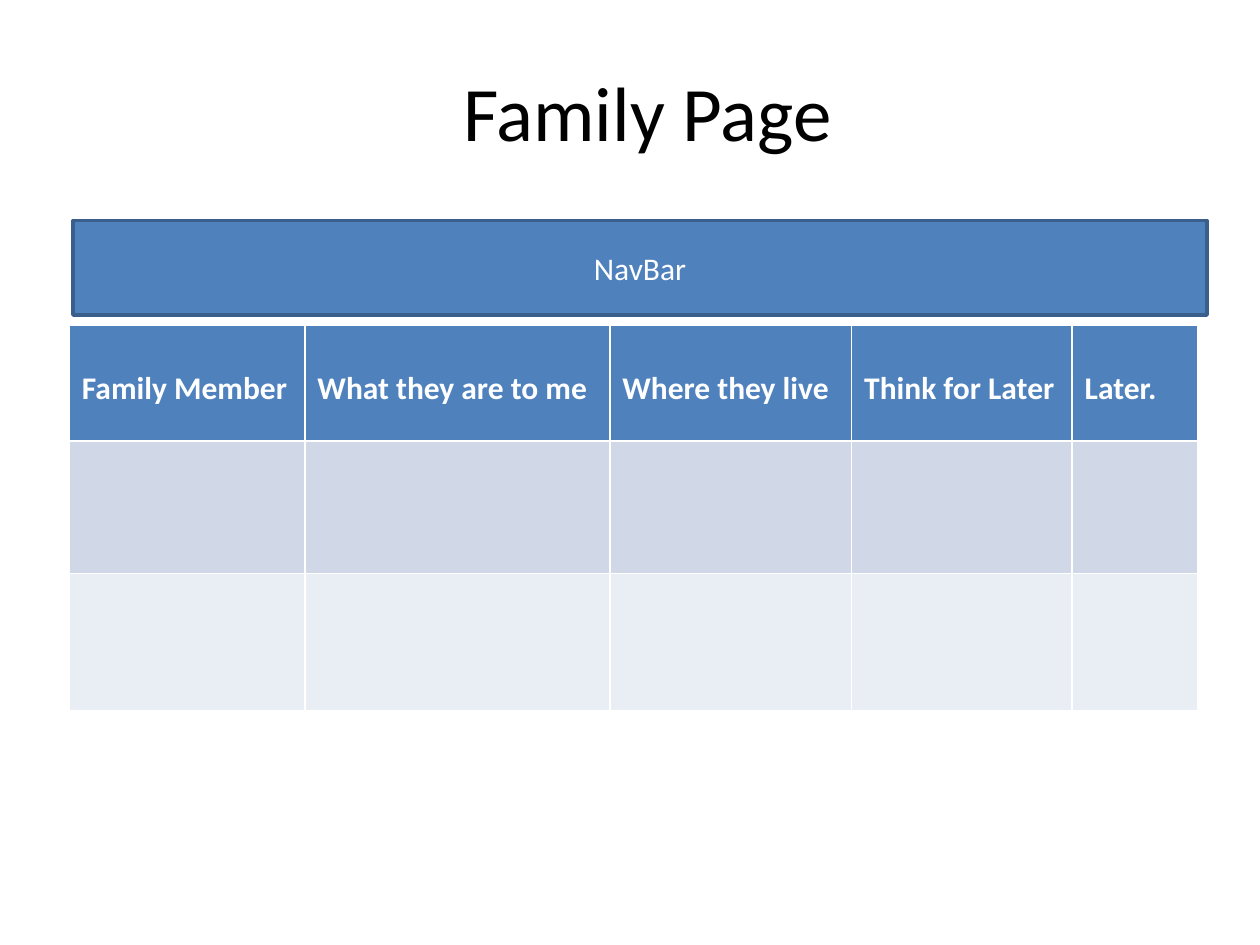
from typing import NamedTuple

from pptx import Presentation
from pptx.dml.color import RGBColor
from pptx.enum.shapes import MSO_SHAPE
from pptx.enum.text import MSO_ANCHOR, PP_ALIGN
from pptx.util import Inches, Pt

COLORS = {"blue": "4F81BD", "edge": "3A5F8C", "white": "FFFFFF",
          "black": "000000", "mid": "D0D8E8", "pale": "E9EDF4"}


class Column(NamedTuple):
    """A table column: heading and width in inches."""
    head: str
    width: float


class Row(NamedTuple):
    """A table row: height in inches and fill."""
    height: float
    fill: str


COLUMNS = [Column("Family Member", 1.87), Column("What they are to me", 2.42),
           Column("Where they live", 1.92), Column("Think for Later", 1.75),
           Column("Later.", 1)]
ROWS = [Row(0.92, "blue"), Row(1.05, "mid"), Row(1.09, "pale")]


def color(name: str) -> RGBColor:
    """Look up a named colour."""
    return RGBColor.from_string(COLORS[name])


def write(frame, text: str, size: int, ink: str, bold: bool = False,
          align=PP_ALIGN.CENTER) -> None:
    """Put one styled paragraph in a text frame."""
    frame.text = text
    line = frame.paragraphs[0]
    line.alignment = align
    line.font.name = "Calibri"
    line.font.size = Pt(size)
    line.font.bold = bold
    line.font.color.rgb = color(ink)


def add_title(slide) -> None:
    """Fill the title, set slightly right of centre."""
    title = slide.shapes.title
    title.left, title.top = Inches(0.5), Inches(0.25)
    title.width, title.height = Inches(9), Inches(1.25)
    frame = title.text_frame
    frame.margin_left = Inches(0.38)
    frame.vertical_anchor = MSO_ANCHOR.MIDDLE
    write(frame, "Family Page", 44, "black")


def add_grid(slide) -> None:
    """Draw the family table."""
    grid = slide.shapes.add_table(
        len(ROWS), len(COLUMNS), Inches(0.55), Inches(2.58),
        Inches(sum(col.width for col in COLUMNS)),
        Inches(sum(row.height for row in ROWS))).table
    for x, col in enumerate(COLUMNS):
        grid.columns[x].width = Inches(col.width)
        head = grid.cell(0, x)
        head.margin_top = Inches(0.35)
        write(head.text_frame, col.head, 18, "white", True, PP_ALIGN.LEFT)
    for y, row in enumerate(ROWS):
        grid.rows[y].height = Inches(row.height)
        for cell in grid.rows[y].cells:
            cell.fill.solid()
            cell.fill.fore_color.rgb = color(row.fill)


def add_bar(slide) -> None:
    """Draw the navigation bar."""
    bar = slide.shapes.add_shape(MSO_SHAPE.RECTANGLE, Inches(0.58),
                                 Inches(1.75), Inches(9), Inches(0.75))
    bar.shadow.inherit = False
    bar.fill.solid()
    bar.fill.fore_color.rgb = color("blue")
    bar.line.color.rgb = color("edge")
    bar.line.width = Pt(2)
    bar.text_frame.vertical_anchor = MSO_ANCHOR.MIDDLE
    write(bar.text_frame, "NavBar", 18, "white")


def main() -> None:
    """Build and save the slide."""
    deck = Presentation()
    deck.slide_width, deck.slide_height = Inches(10), Inches(7.5)
    slide = deck.slides.add_slide(deck.slide_layouts.get_by_name("Title Only"))
    add_title(slide)
    add_grid(slide)
    add_bar(slide)
    deck.save("out.pptx")


main()
